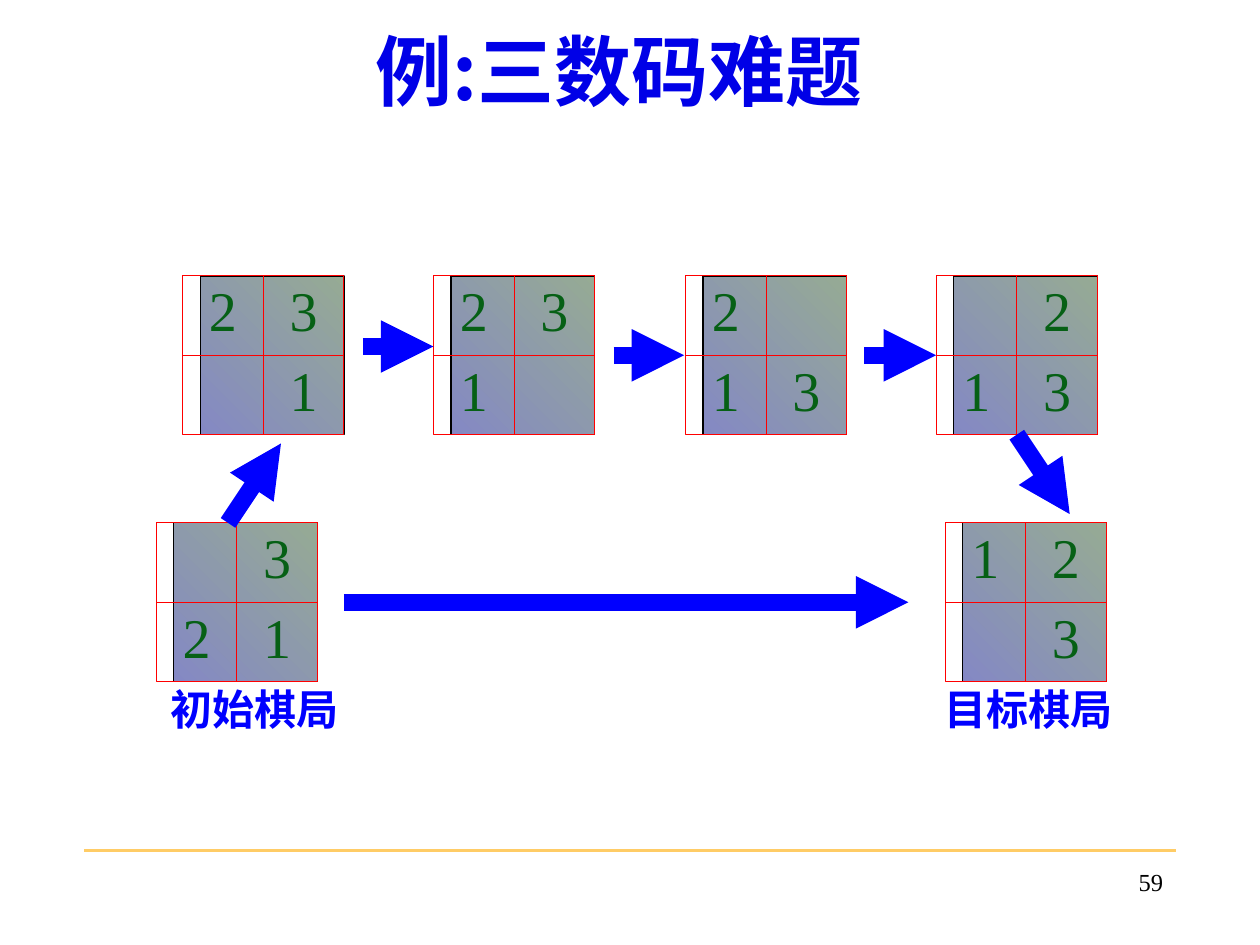
from lxml.etree import SubElement
from pptx import Presentation
from pptx.dml.color import RGBColor
from pptx.enum.shapes import MSO_CONNECTOR, MSO_SHAPE
from pptx.enum.text import MSO_ANCHOR, PP_ALIGN
from pptx.oxml.ns import qn
from pptx.util import Inches, Pt

COLORS = {
    "title": "0000E7",
    "blue": "0000FF",
    "digit": "066015",
    "grid": "FF0000",
    "frame": "000000",
    "board_start": "8488C4",
    "board_end": "96AB94",
    "rule": "FFCC66",
    "page": "000000",
}
SANS = "Noto Sans CJK SC"
SERIF = "Times New Roman"
CELL_WIDTH, CELL_HEIGHT = 0.64, 0.63
FRAME_OFFSET, FRAME_WIDTH = 0.14, 1.14
TOP_ROW, BOTTOM_ROW = 2.19, 4.15


def write_text(shape, text, size, font, color, align=PP_ALIGN.CENTER,
               anchor=MSO_ANCHOR.MIDDLE, bold=False):
    """Fill a shape with one formatted line, also setting the East Asian font."""
    text_frame = shape.text_frame
    text_frame.text = text
    text_frame.vertical_anchor = anchor
    paragraph = text_frame.paragraphs[0]
    paragraph.alignment = align
    run = paragraph.runs[0]
    run.font.size = Pt(size)
    run.font.bold = bold
    run.font.name = font
    run.font.color.rgb = RGBColor.from_string(COLORS[color])
    SubElement(run.font._element, qn("a:ea"), typeface=font)


def draw_line(start, end, color, width, arrow=False):
    line = slide.shapes.add_connector(
        MSO_CONNECTOR.STRAIGHT, *(Inches(value) for value in (*start, *end)))
    line.line.color.rgb = RGBColor.from_string(COLORS[color])
    line.line.width = Pt(width)
    if arrow:
        SubElement(line.line._get_or_add_ln(), qn("a:tailEnd"), type="triangle")
    SubElement(line._element.spPr, qn("a:effectLst"))


presentation = Presentation()
presentation.slide_width = Inches(10)
presentation.slide_height = Inches(7.5)
slide = presentation.slides.add_slide(presentation.slide_layouts[6])

# Footer rule, page number and title
draw_line((0.67, 6.75), (9.33, 6.75), "rule", 1.5)

page_number = slide.shapes.add_textbox(Inches(7.25), Inches(6.83), Inches(2.08), Inches(0.5))
page_number.text_frame.word_wrap = True
write_text(page_number, "59", 14, SERIF, "page", PP_ALIGN.RIGHT, MSO_ANCHOR.TOP)

title = slide.shapes.add_textbox(Inches(0.5), Inches(-0.05), Inches(8.83), Inches(1.2))
title.text_frame.word_wrap = True
write_text(title, "例:三数码难题", 44, SANS, "title", bold=True)

# Boards: left, top, and the two rows of digits (a space is the empty cell)
boards = [
    (1.24, BOTTOM_ROW, (" 3", "21")),
    (1.45, TOP_ROW, ("23", " 1")),
    (3.44, TOP_ROW, ("23", "1 ")),
    (5.44, TOP_ROW, ("2 ", "13")),
    (7.43, TOP_ROW, (" 2", "13")),
    (7.5, BOTTOM_ROW, ("12", " 3")),
]
drawing_order = [(1, 1), (1, 0), (0, 0), (0, 1)]

for left, top, rows in boards:
    board = slide.shapes.add_group_shape()
    frame = board.shapes.add_shape(
        MSO_SHAPE.RECTANGLE, Inches(left + FRAME_OFFSET), Inches(top),
        Inches(FRAME_WIDTH), Inches(2 * CELL_HEIGHT))
    frame.shadow.inherit = False
    frame.fill.gradient()
    frame.fill.gradient_angle = 45
    for stop, color in zip(frame.fill.gradient_stops, ("board_start", "board_end")):
        stop.color.rgb = RGBColor.from_string(COLORS[color])
    frame.line.color.rgb = RGBColor.from_string(COLORS["frame"])
    frame.line.width = Pt(0.75)

    for row, column in drawing_order:
        cell = board.shapes.add_shape(
            MSO_SHAPE.RECTANGLE,
            Inches(left + column * CELL_WIDTH), Inches(top + row * CELL_HEIGHT),
            Inches(CELL_WIDTH), Inches(CELL_HEIGHT))
        cell.shadow.inherit = False
        cell.fill.background()
        cell.line.color.rgb = RGBColor.from_string(COLORS["grid"])
        cell.line.width = Pt(0.5)
        text_frame = cell.text_frame
        text_frame.margin_left = text_frame.margin_right = 0
        text_frame.margin_top = text_frame.margin_bottom = 0
        digit = rows[row][column]
        if digit != " ":
            write_text(cell, digit, 32, SERIF, "digit", anchor=MSO_ANCHOR.TOP)

# Moves between boards
moves = [
    ((2.73, 4.78), (7.21, 4.78)),
    ((1.81, 4.15), (2.23, 3.52)),
    ((8.07, 3.45), (8.49, 4.08)),
    ((2.88, 2.75), (3.44, 2.75)),
    ((6.86, 2.82), (7.43, 2.82)),
    ((4.87, 2.82), (5.43, 2.82)),
]
for start, end in moves:
    draw_line(start, end, "blue", 10, arrow=True)

# Captions, without side margins so that each stays on one line
for left, caption in ((1.31, "初始棋局"), (7.45, "目标棋局")):
    label = slide.shapes.add_textbox(Inches(left), Inches(5.45), Inches(1.42), Inches(0.35))
    label.text_frame.word_wrap = False
    label.text_frame.margin_left = label.text_frame.margin_right = 0
    write_text(label, caption, 24, SANS, "blue", bold=True)

presentation.save("out.pptx")
